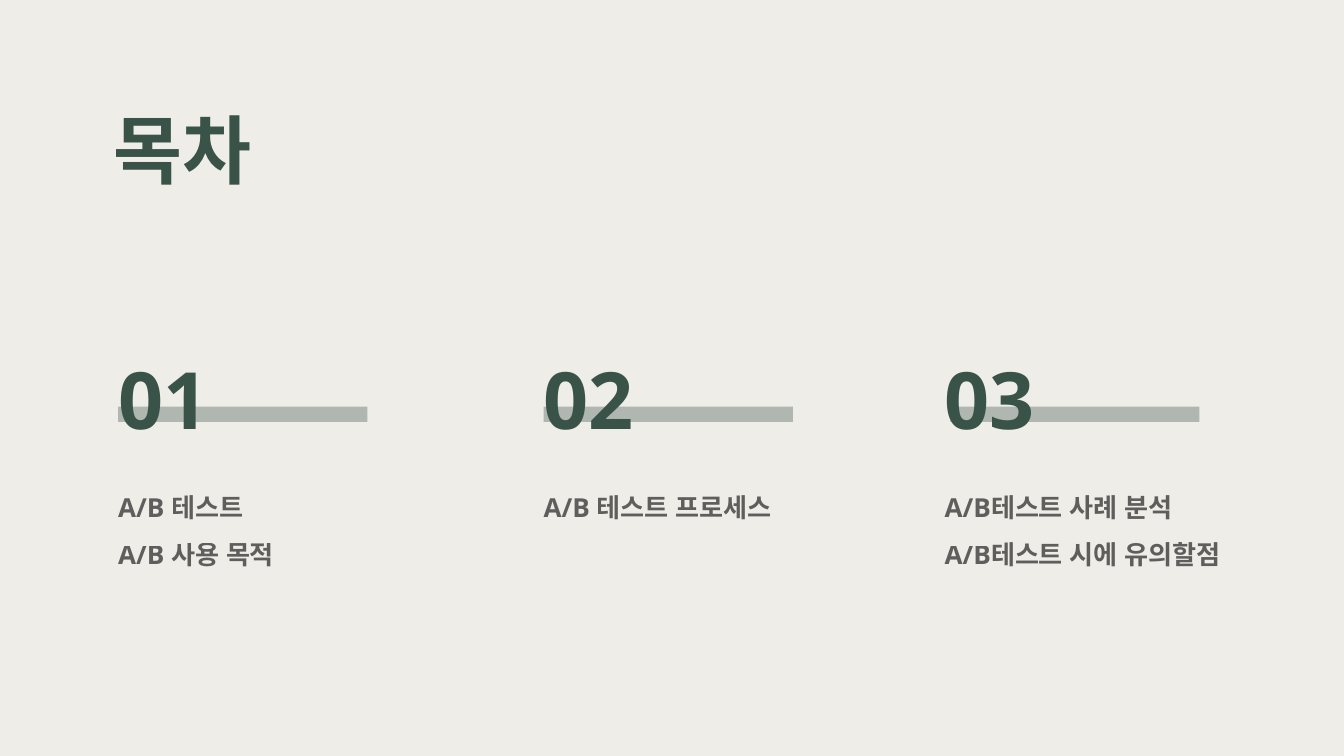
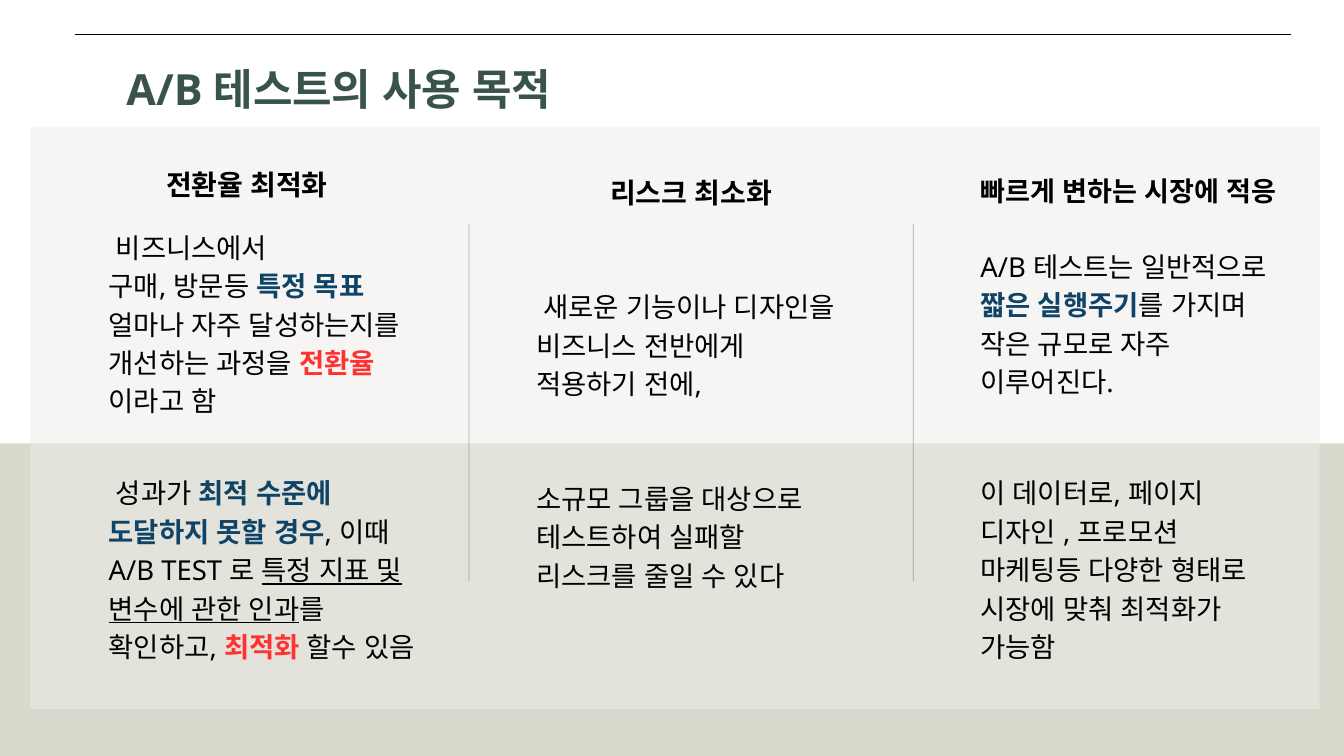
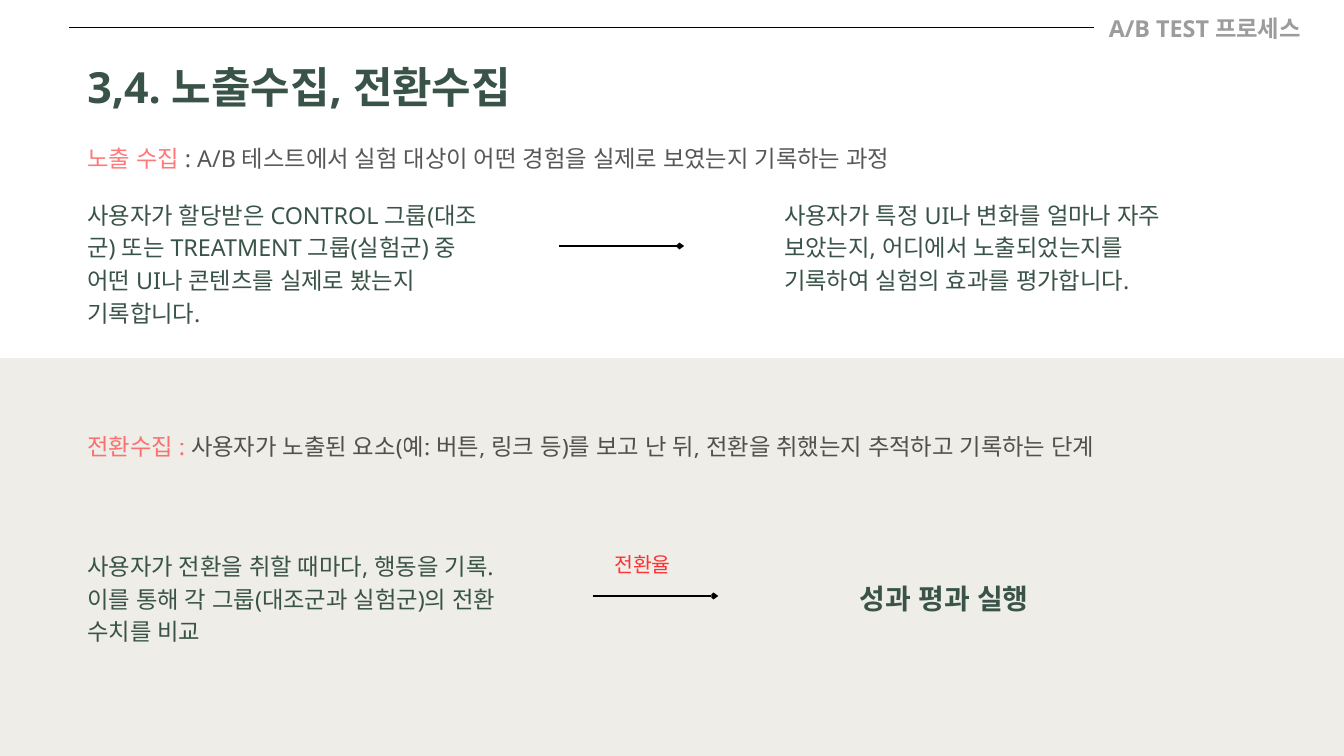
from lxml import etree
from pptx import Presentation
from pptx.dml.color import RGBColor
from pptx.enum.shapes import MSO_CONNECTOR, MSO_SHAPE
from pptx.enum.text import MSO_AUTO_SIZE, PP_ALIGN
from pptx.oxml.ns import qn
from pptx.util import Cm, Pt

STRAIGHT = MSO_CONNECTOR.STRAIGHT
RECTANGLE = MSO_SHAPE.RECTANGLE
FIT_SHAPE = MSO_AUTO_SIZE.SHAPE_TO_FIT_TEXT
CENTER = PP_ALIGN.CENTER

FONT = "Noto Sans"
WIDTH, HEIGHT = 50.8, 28.58
COLORS = {
    "green": "3A5348",
    "black": "000000",
    "navy": "104467",
    "red": "FF3131",
    "white": "FFFFFF",
    "paper": "EEEDE8",
    "sand": "DAD9CE",
}
STYLES = {
    "contents title": {"size": 80.3, "leading": 112.5, "color": "green", "bold": True},
    "number": {"size": 84.6, "leading": 118.5, "color": "green", "bold": True},
    "topic": {"size": 28, "leading": 50.7, "color": "black", "alpha": 60, "bold": True},
    "title": {"size": 46, "leading": 64.4, "color": "green", "bold": True},
    "heading": {"size": 30, "leading": 42, "color": "black", "bold": True, "align": CENTER},
    "long heading": {"size": 29, "leading": 40.6, "color": "black", "bold": True, "align": CENTER},
    "body": {"size": 29.4, "leading": 41.1, "color": "black"},
    "definition": {"size": 25, "leading": 40, "color": "black", "alpha": 66},
    "running head": {"size": 25, "leading": 35, "color": "black", "alpha": 38, "bold": True},
    "step": {"size": 25, "leading": 35, "color": "green"},
    "result": {"size": 30, "leading": 42, "color": "green", "bold": True},
    "arrow label": {"size": 22, "leading": 30.8, "color": "red"},
}
KEY = {"color": "navy", "bold": True}
ALERT = {"color": "red", "bold": True}
TERM = {"color": "red"}
UNDERLINED = {"underline": True}


def paint(fill, element, color, alpha=None):
    fill.solid()
    fill.fore_color.rgb = RGBColor.from_string(COLORS[color])
    if alpha:
        tint = element.find(".//" + qn("a:srgbClr"))
        etree.SubElement(tint, qn("a:alpha"), val=str(alpha * 1000))


def add_page(deck, background):
    page = deck.slides.add_slide(deck.slide_layouts[6])
    paint(page.background.fill, None, background)
    return page


def add_block(page, left, top, width, height, color, alpha=None):
    block = page.shapes.add_shape(RECTANGLE, Cm(left), Cm(top), Cm(width), Cm(height))
    block.shadow.inherit = False
    paint(block.fill, block._element, color, alpha)
    block.line.fill.background()


def add_rule(page, start, end, weight=0.75, alpha=None, arrow=False):
    rule = page.shapes.add_connector(STRAIGHT, *map(Cm, start + end))
    rule.line.width = Pt(weight)
    paint(rule.line.fill, rule._element, "black", alpha)
    properties = rule._element.spPr
    if arrow:
        outline = properties.find(qn("a:ln"))
        etree.SubElement(outline, qn("a:tailEnd"), type="arrow", w="sm", len="sm")
    etree.SubElement(properties, qn("a:effectLst"))


def add_span(para, text, style):
    span = para.add_run()
    span.text = text
    values = {
        "name": FONT,
        "size": Pt(style["size"]),
        "bold": style.get("bold", False),
        "underline": style.get("underline", False),
    }
    for name, value in values.items():
        setattr(span.font, name, value)
    paint(span.font.fill, span._r, style["color"], style.get("alpha"))
    etree.SubElement(span.font._element, qn("a:ea"), typeface=FONT)


def add_text(page, left, top, width, height, style_name, *paragraphs, gap=0):
    style = STYLES[style_name]
    box = page.shapes.add_textbox(Cm(left), Cm(top), Cm(width), Cm(height))
    frame = box.text_frame
    values = {"word_wrap": True, "auto_size": FIT_SHAPE}
    values |= {f"margin_{side}": 0 for side in ("left", "top", "right", "bottom")}
    for name, value in values.items():
        setattr(frame, name, value)
    for index, content in enumerate(paragraphs):
        para = frame.add_paragraph() if index else frame.paragraphs[0]
        para.line_spacing = Pt(style["leading"])
        para.alignment = style.get("align")
        if index and gap:
            para.space_before = Pt(gap)
        spans = [(content, {})] if isinstance(content, str) else content
        for text, changes in spans:
            add_span(para, text, style | changes)


def build_contents(deck):
    page = add_page(deck, "paper")
    sections = [
        (4.47, 4.47, 10.6, ["A/B 테스트", "A/B 사용 목적"]),
        (20.55, 20.55, 9.7, ["A/B 테스트 프로세스"]),
        (35.71, 35.92, 13.03, ["A/B테스트 사례 분석", "A/B테스트 시에 유의할점"]),
    ]
    for number, (left, bar_left, width, topics) in enumerate(sections, 1):
        add_block(page, bar_left, 15.37, 9.42, 0.58, "green", 35)
        add_text(page, left, 17.98, width, 3.3 * len(topics), "topic", *topics)
        add_text(page, left, 12.65, 4.8, 3.89, "number", f"{number:02}")
    add_text(page, 4.29, 3.33, 19.18, 3.78, "contents title", "목차")


def build_purposes(deck):
    page = add_page(deck, "white")
    add_block(page, 0, 16.76, WIDTH, HEIGHT - 16.76, "sand")
    add_block(page, 1.14, 4.8, 48.74, 22, "paper", 52)
    add_rule(page, (2.84, 1.3), (48.79, 1.3))
    for left in (17.73, 34.52):
        add_rule(page, (left, 8.46), (left, 21.97), alpha=30)
    add_text(page, 4.78, 2.06, 17.65, 2.16, "title", "A/B 테스트의 사용 목적")

    add_text(page, 5.08, 6.12, 8.51, 1.42, "heading", "전환율 최적화")
    add_text(page, 21.87, 6.43, 8.51, 1.42, "heading", "리스크 최소화")
    add_text(page, 35.71, 6.38, 13.92, 2.82, "long heading", "빠르게 변하는 시장에 적응")

    add_text(page, 4.11, 8.53, 11.71, 7.09, "body", " 비즈니스에서", [
        ("구매, 방문등 ", {}),
        ("특정 목표 ", KEY),
        ("얼마나 자주 달성하는지를 개선하는 과정을 ", {}),
        ("전환율 ", ALERT),
        ("이라고 함", {}),
    ])
    add_text(page, 4.11, 17.81, 11.71, 8.53, "body", [
        (" 성과가 ", {}),
        ("최적 수준에 도달하지 못할 경우", KEY),
        (", 이때 A/B TEST 로 ", {}),
        ("특정 지표 및 변수에 관한 인과", UNDERLINED),
        ("를 확인하고, ", {}),
        ("최적화", ALERT),
        (" 할수 있음", {}),
    ])
    add_text(page, 20.27, 10.77, 11.71, 11.38, "body",
             " 새로운 기능이나 디자인을 비즈니스 전반에게 적용하기 전에,",
             "소규모 그룹을 대상으로 테스트하여 실패할 리스크를 줄일 수 있다",
             gap=2 * STYLES["body"]["leading"])
    add_text(page, 37.06, 9.25, 11.25, 5.66, "body", [
        ("A/B 테스트는 일반적으로 ", {}),
        ("짧은 실행주기", KEY),
        ("를 가지며 작은 규모로 자주 이루어진다.", {}),
    ])
    add_text(page, 37.06, 17.81, 11.25, 5.66, "body",
             "이 데이터로, 페이지 디자인 , 프로모션 마케팅등 다양한 형태로 시장에 맞춰 최적화가 가능함")


def build_collection(deck):
    page = add_page(deck, "paper")
    add_block(page, 0, 0, WIDTH, 13.54, "white")
    add_rule(page, (2.62, 1.02), (41.35, 1.02))
    add_text(page, 41.91, 0.36, 8, 1.17, "running head", "A/B TEST 프로세스")
    add_text(page, 3.3, 1.98, 18.54, 4.42, "title", "3,4. 노출수집, 전환수집")

    definitions = [
        (5.08, "노출 수집", " : A/B 테스트에서 실험 대상이 어떤 경험을 실제로 보였는지 기록하는 과정"),
        (16, "전환수집 : ", "사용자가 노출된 요소(예: 버튼, 링크 등)를 보고 난 뒤, "
                        "전환을 취했는지 추적하고 기록하는 단계"),
    ]
    for top, term, meaning in definitions:
        add_text(page, 3.3, top, 46.08, 1.32, "definition", [(term, TERM), (meaning, {})])

    steps = [
        (3.3, 7.42, 4.83, "사용자가 할당받은 CONTROL 그룹(대조군) 또는 TREATMENT 그룹(실험군) 중 "
                          "어떤 UI나 콘텐츠를 실제로 봤는지 기록합니다."),
        (29.64, 7.42, 3.61, "사용자가 특정 UI나 변화를 얼마나 자주 보았는지, "
                            "어디에서 노출되었는지를 기록하여 실험의 효과를 평가합니다."),
        (3.3, 20.7, 3.61, "사용자가 전환을 취할 때마다, 행동을 기록. "
                          "이를 통해 각 그룹(대조군과 실험군)의 전환 수치를 비교"),
    ]
    for left, top, height, text in steps:
        add_text(page, left, top, 15.67, height, "step", text)
    for left, top in ((21.11, 9.3), (22.4, 22.53)):
        add_rule(page, (left, top), (left + 4.75, top), weight=3, arrow=True)
    add_text(page, 23.22, 20.73, 3.12, 1.04, "arrow label", "전환율")
    add_text(page, 32.49, 21.79, 8.46, 1.42, "result", "성과 평과 실행")


def main():
    deck = Presentation()
    deck.slide_width, deck.slide_height = Cm(WIDTH), Cm(HEIGHT)
    build_contents(deck)
    build_purposes(deck)
    build_collection(deck)
    deck.save("out.pptx")


if __name__ == "__main__":
    main()
